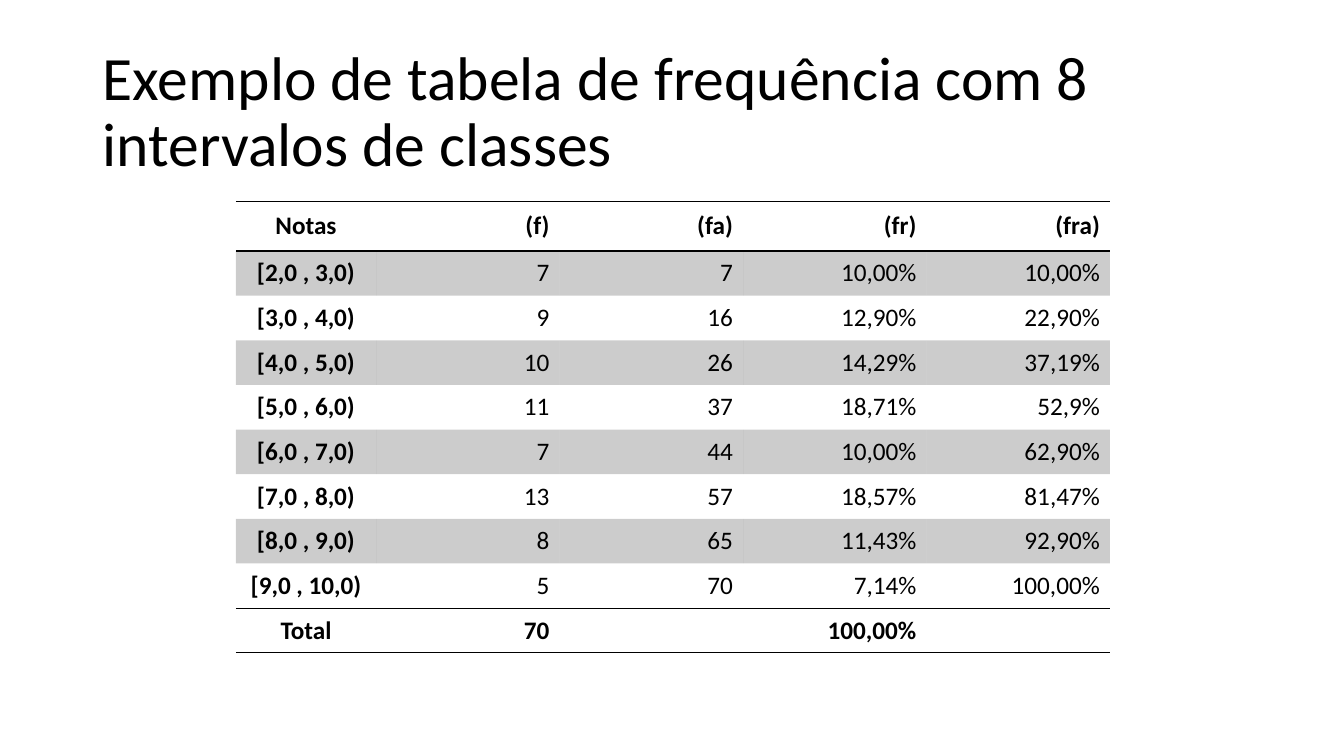
from dataclasses import dataclass

from lxml import etree
from pptx import Presentation
from pptx import util as u
from pptx.dml.color import RGBColor
from pptx.enum import text
from pptx.oxml import ns

WIDTH, HEIGHT = 13.33, 7.5
FONT = "Calibri"
BLACK = "000000"
NO_STYLE = "{2D5ABB26-0587-4C30-8999-92F81FD0307C}"
COLUMN_WIDTHS = [1.39] + [1.82] * 4


@dataclass
class Row:
    values: list[str]
    height: float = 0.443
    bold: bool = False
    ruled: bool = False
    shaded: bool = False


CLASSES = [
    ["[2,0 , 3,0)", "7", "7", "10,00%", "10,00%"],
    ["[3,0 , 4,0)", "9", "16", "12,90%", "22,90%"],
    ["[4,0 , 5,0)", "10", "26", "14,29%", "37,19%"],
    ["[5,0 , 6,0)", "11", "37", "18,71%", "52,9%"],
    ["[6,0 , 7,0)", "7", "44", "10,00%", "62,90%"],
    ["[7,0 , 8,0)", "13", "57", "18,57%", "81,47%"],
    ["[8,0 , 9,0)", "8", "65", "11,43%", "92,90%"],
    ["[9,0 , 10,0)", "5", "70", "7,14%", "100,00%"],
]
ROWS = [
    Row(["Notas", "(f)", "(fa)", "(fr)", "(fra)"], 0.49, bold=True, ruled=True),
    *(Row(values, shaded=i % 2 == 0) for i, values in enumerate(CLASSES)),
    Row(["Total", "70", "", "100,00%", ""], bold=True, ruled=True),
]


def rgb(color: str) -> RGBColor:
    return RGBColor.from_string(color)


def write(tf, words: str, *, size: float, align, bold: bool = False,
          color: str = BLACK, spacing: float = 1.0) -> None:
    p = tf.paragraphs[0]
    p.alignment = align
    p.line_spacing = spacing
    r = p.add_run()
    r.text = words
    r.font.name = FONT
    r.font.size = u.Pt(size)
    r.font.bold = bold
    r.font.color.rgb = rgb(color)


def shade(cell, color: str, opacity: int) -> None:
    """Fill a cell with a colour at the given opacity in percent."""
    cell.fill.solid()
    cell.fill.fore_color.rgb = rgb(color)
    clr = cell._tc.tcPr.find(".//" + ns.qn("a:srgbClr"))
    etree.SubElement(clr, ns.qn("a:alpha"), val=str(opacity * 1000))


def rule(cell, color: str, width: float) -> None:
    """Draw lines along the top and bottom of a cell."""
    for i, tag in enumerate(("a:lnT", "a:lnB")):
        ln = etree.Element(ns.qn(tag), w=str(u.Pt(width)))
        fill = etree.SubElement(ln, ns.qn("a:solidFill"))
        etree.SubElement(fill, ns.qn("a:srgbClr"), val=color)
        cell._tc.get_or_add_tcPr().insert(i, ln)


def add_title(s, words: str) -> None:
    sp = s.shapes.title
    sp.left, sp.top = u.Inches(0.92), u.Inches(0.4)
    sp.width, sp.height = u.Inches(11.5), u.Inches(1.45)
    tf = sp.text_frame
    tf.word_wrap = True
    tf.auto_size = text.MSO_AUTO_SIZE.NONE
    tf.vertical_anchor = text.MSO_ANCHOR.MIDDLE
    write(tf, words, size=44, align=text.PP_ALIGN.LEFT, spacing=0.9)


def fill_cell(cell, row: Row, column: int) -> None:
    cell.vertical_anchor = text.MSO_ANCHOR.MIDDLE
    if row.shaded:
        shade(cell, BLACK, 20)
    else:
        cell.fill.background()
    if row.ruled:
        rule(cell, BLACK, 1)
    if row.values[column]:
        first = column == 0
        write(cell.text_frame, row.values[column], size=18, bold=row.bold or first,
              align=text.PP_ALIGN.CENTER if first else text.PP_ALIGN.RIGHT)


def add_frequency_table(s, rows: list[Row]) -> None:
    frame = s.shapes.add_table(
        len(rows), len(COLUMN_WIDTHS), u.Inches(2.34), u.Inches(2),
        u.Inches(sum(COLUMN_WIDTHS)), u.Inches(sum(row.height for row in rows)))
    table = frame.table
    table.first_row = table.horz_banding = False
    frame._element.find(".//" + ns.qn("a:tableStyleId")).text = NO_STYLE
    for column, width in zip(table.columns, COLUMN_WIDTHS):
        column.width = u.Inches(width)
    for i, row in enumerate(rows):
        table.rows[i].height = u.Inches(row.height)
        for j in range(len(COLUMN_WIDTHS)):
            fill_cell(table.cell(i, j), row, j)


def main() -> None:
    prs = Presentation()
    prs.slide_width, prs.slide_height = u.Inches(WIDTH), u.Inches(HEIGHT)
    s = prs.slides.add_slide(prs.slide_layouts[5])
    add_title(s, "Exemplo de tabela de frequência com 8 intervalos de classes")
    add_frequency_table(s, ROWS)
    prs.save("out.pptx")


if __name__ == "__main__":
    main()
